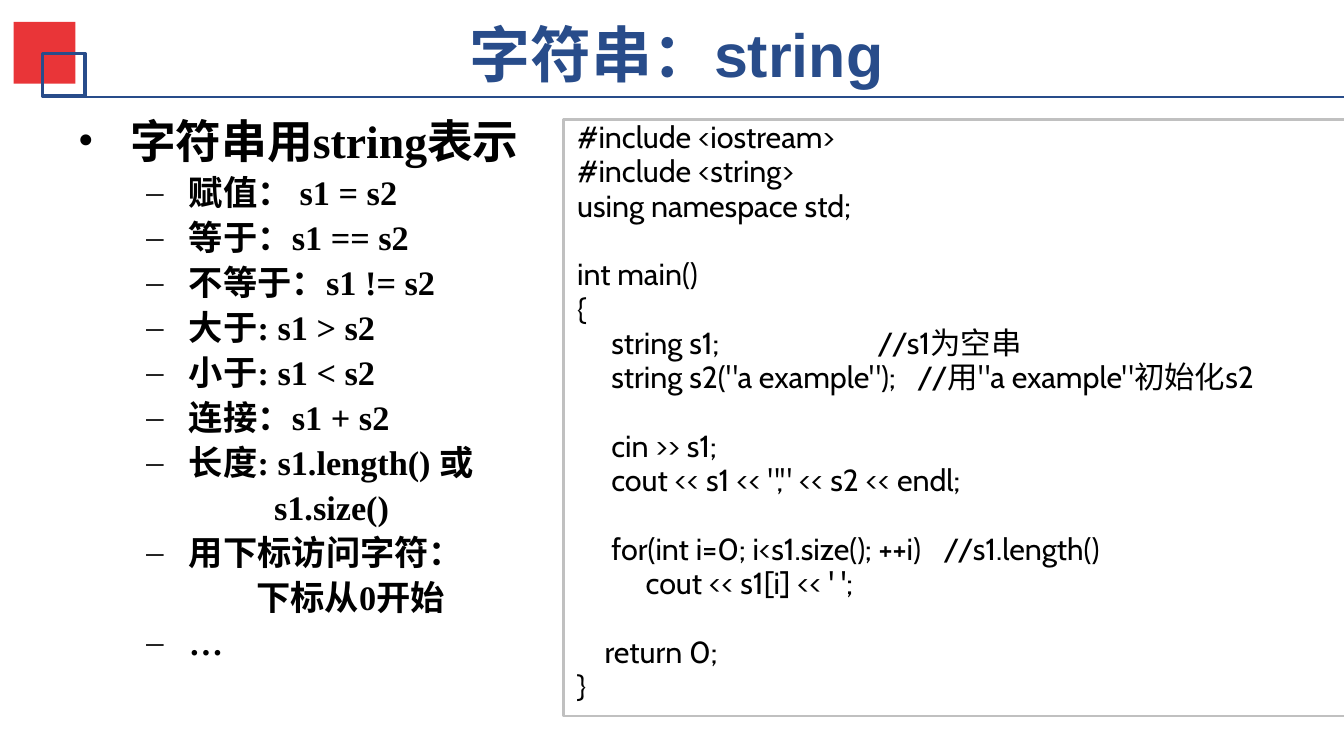
"""Build a slide that introduces the C++ string type."""
from lxml import etree
from pptx import Presentation
from pptx import util as u
from pptx.dml.color import RGBColor
from pptx.enum import lang, shapes, text
from pptx.oxml.ns import qn

COLORS = {"navy": "284C8A", "red": "E93538", "gray": "C0C0C0",
          "black": "000000", "white": "FFFFFF"}
TITLE = "字符串：string"
HEADING = "字符串用string表示"
OPERATIONS = [
    ("赋值： s1 = s2", None),
    ("等于：s1 == s2", None),
    ("不等于：s1 != s2", None),
    ("大于: s1 > s2", None),
    ("小于: s1 < s2", None),
    ("连接：s1 + s2", None),
    ("长度: s1.length() 或", ("s1.size()", 1.43)),
    ("用下标访问字符：", ("下标从0开始", 1.3)),
    ("…", None),
]
CODE_BLOCKS = [
    [("#include <iostream>", 0), ("#include <string>", 0),
     ("using namespace std;", 0)],
    [("int main()", 0), ("{", 0), ("string s1;", 0.25),
     ("string s2(\"a example\");", 0.25)],
    [("cin >> s1;", 0.25), ("cout << s1 << \",\" << s2 << endl;", 0.25)],
    [("for(int i=0; i<s1.size(); ++i)", 0.25), ("cout << s1[i] << ' ';", 0.5)],
    [("return 0;", 0.2), ("}", 0)],
]
REMARKS = {
    "string s1;": ("//s1为空串", 21.9),
    "string s2(\"a example\");": ("//用\"a example\"初始化s2", 24.8),
    "for(int i=0; i<s1.size(); ++i)": ("//s1.length()", 26.7),
}
FORMATS = {
    "title": {"size": u.Pt(32), "name": "Arial", "bold": True},
    "heading": {"size": u.Pt(24), "name": "Times New Roman", "bold": True},
    "operation": {"size": u.Pt(18), "name": "Times New Roman", "bold": True},
    "code": {"size": u.Pt(16), "name": "Cabin", "bold": False},
}
CODE_LINE, CODE_GAP = 15, 3
CODE_ROW = (CODE_LINE + CODE_GAP) / 7.2
COLUMNS, ROWS = 98, 55.1
CELL = u.Inches(0.1)


def grid(*cells):
    return [round(cell * CELL) for cell in cells]


def paint(target, color):
    target.solid()
    target.fore_color.rgb = RGBColor.from_string(COLORS[color])


def outline(line, color, width):
    paint(line.fill, color)
    line.width = u.Pt(width)


def add_box(slide, cells, fill=None, line=None, width=1):
    box = slide.shapes.add_shape(shapes.MSO_SHAPE.RECTANGLE, *grid(*cells))
    box.shadow.inherit = False
    if fill:
        paint(box.fill, fill)
    else:
        box.fill.background()
    if line:
        outline(box.line, line, width)
    else:
        box.line.fill.background()
    return box


def prepare_frame(box, side=0.1, top=0.05):
    frame = box.text_frame
    settings = {"word_wrap": True, "vertical_anchor": text.MSO_ANCHOR.TOP,
                "margin_left": u.Inches(side), "margin_right": u.Inches(side),
                "margin_top": u.Inches(top), "margin_bottom": u.Inches(top)}
    for key, value in settings.items():
        setattr(frame, key, value)
    return frame


def write(frame, words, style, color="black", align=text.PP_ALIGN.LEFT, before=0,
          indent=0, hanging=0, bullet=None, level=0, spacing=None):
    first = frame.paragraphs[0]
    paragraph = first if not first.runs else frame.add_paragraph()
    for key, value in {"alignment": align, "level": level, "line_spacing": spacing,
                       "space_before": u.Pt(before)}.items():
        setattr(paragraph, key, value)
    run = paragraph.add_run()
    run.text = words
    for key, value in FORMATS[style].items():
        setattr(run.font, key, value)
    run.font.language_id = lang.MSO_LANGUAGE_ID.SIMPLIFIED_CHINESE
    paint(run.font.fill, color)
    props = paragraph._p.get_or_add_pPr()
    props.set("marL", str(u.Inches(indent)))
    props.set("indent", str(u.Inches(-hanging)))
    if bullet:
        face = etree.SubElement(props, qn("a:buFont"))
        face.set("typeface", FORMATS[style]["name"])
        etree.SubElement(props, qn("a:buChar")).set("char", bullet)
    else:
        etree.SubElement(props, qn("a:buNone"))


def add_header(slide):
    title = slide.shapes.add_textbox(*grid(14.3, 0.8, 70.1, 6.1))
    write(prepare_frame(title, 0.07, 0.04), TITLE, "title", "navy",
          text.PP_ALIGN.CENTER)
    add_box(slide, (1, 1.6, 4.5, 4.5), fill="red")
    add_box(slide, (3.1, 3.9, 3.1, 3.1), line="navy", width=2)
    rule = slide.shapes.add_connector(shapes.MSO_CONNECTOR.STRAIGHT,
                                      *grid(3.8, 7.1, COLUMNS, 7.1))
    outline(rule.line, "navy", 1)
    etree.SubElement(rule._element.spPr, qn("a:effectLst"))


def add_operations(slide):
    frame = prepare_frame(slide.shapes.add_textbox(*grid(4.7, 7.7, 40.4, 42.7)))
    write(frame, HEADING, "heading", before=2, indent=0.38, hanging=0.38, bullet="•")
    for operation, continuation in OPERATIONS:
        write(frame, operation, "operation", before=2, indent=0.81,
              hanging=0.31, bullet="–", level=1)
        if continuation:
            words, indent = continuation
            write(frame, words, "operation", before=2, level=1, indent=indent)


def add_code(slide):
    left, top, width, height = 41.1, 8.7, 57.5, 43.5
    listing = prepare_frame(add_box(slide, (left, top, width, height),
                                    "white", "gray", 1.25))
    row = 0
    for block_index, block in enumerate(CODE_BLOCKS):
        for line_index, (statement, indent) in enumerate(block):
            opens_block = block_index > 0 and line_index == 0
            row += opens_block
            before = CODE_GAP + (CODE_LINE + CODE_GAP) * opens_block
            write(listing, statement, "code", before=before, indent=indent,
                  spacing=u.Pt(CODE_LINE))
            if statement in REMARKS:
                remark, offset = REMARKS[statement]
                box = slide.shapes.add_textbox(
                    *grid(left + offset, top + row * CODE_ROW,
                          width - offset, CODE_ROW + 1))
                write(prepare_frame(box), remark, "code", before=CODE_GAP,
                      spacing=u.Pt(CODE_LINE))
            row += 1


def main():
    deck = Presentation()
    deck.slide_width, deck.slide_height = grid(COLUMNS, ROWS)
    slide = deck.slides.add_slide(deck.slide_layouts[6])
    paint(slide.background.fill, "white")
    add_header(slide)
    add_operations(slide)
    add_code(slide)
    deck.save("out.pptx")


if __name__ == "__main__":
    main()
